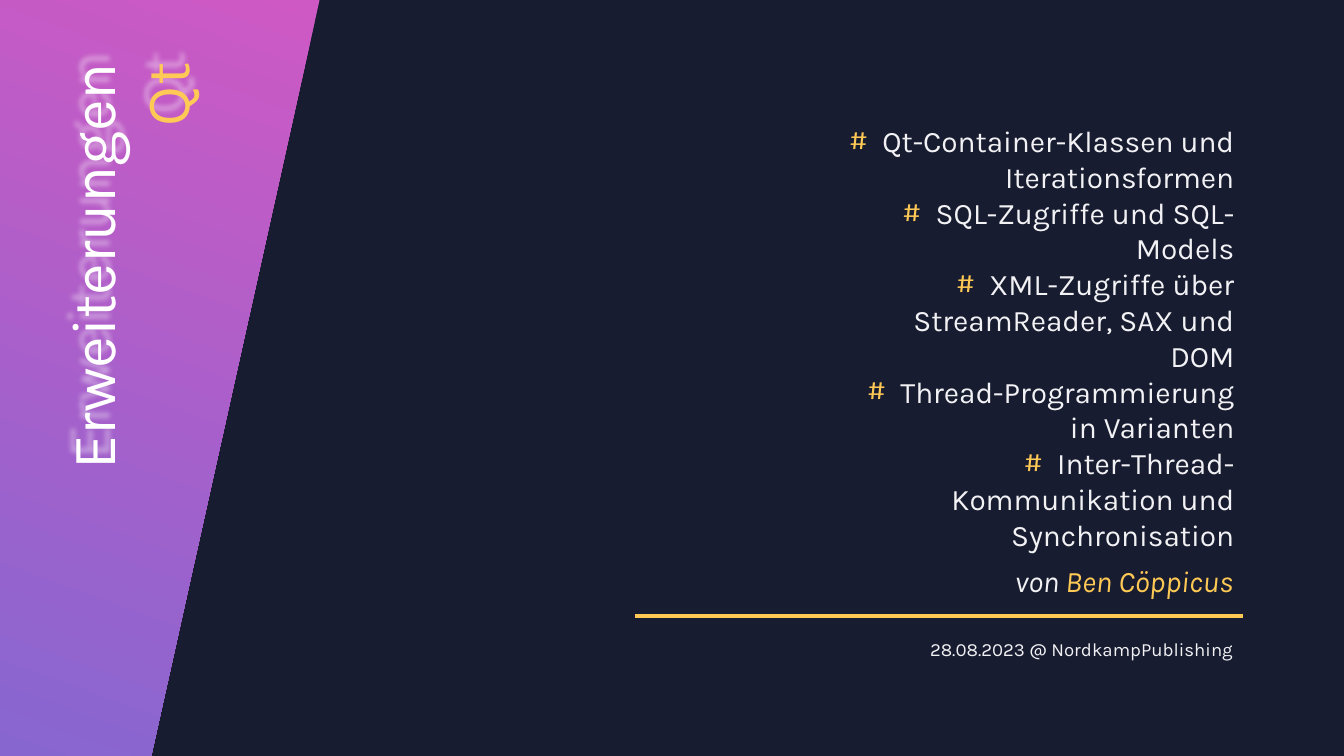
from lxml import etree
from pptx import Presentation
from pptx.dml.color import RGBColor
from pptx.enum import shapes, text
from pptx.oxml import ns
from pptx.util import Inches, Pt

NAVY = RGBColor(0x17, 0x1C, 0x30)
PINK = RGBColor(0xCE, 0x59, 0xC4)
VIOLET = RGBColor(0x87, 0x66, 0xD0)
GOLD = RGBColor(0xFF, 0xC9, 0x55)
WHITE = RGBColor(0xFF, 0xFF, 0xFF)
PALE = RGBColor(0xF2, 0xF2, 0xF5)
FONT = "Karla"

TOPICS = [
    "Qt-Container-Klassen und Iterationsformen",
    "SQL-Zugriffe und SQL-Models",
    "XML-Zugriffe über StreamReader, SAX und DOM",
    "Thread-Programmierung in Varianten",
    "Inter-Thread-Kommunikation und Synchronisation",
]


def add_xml(node, tag, **attrs):
    return etree.SubElement(node, ns.qn(tag), attrs)


def add_text(slide, box, lines, size, italic=False):
    """Right-aligned text; each line is a list of (wording, colour) runs."""
    shape = slide.shapes.add_textbox(*map(Inches, box))
    frame = shape.text_frame
    frame.word_wrap = True
    for i, line in enumerate(lines):
        para = frame.paragraphs[0] if i == 0 else frame.add_paragraph()
        para.alignment = text.PP_ALIGN.RIGHT
        for words, color in line:
            run = para.add_run()
            run.text = words
            run.font.name = FONT
            run.font.size = Pt(size)
            run.font.italic = italic
            run.font.color.rgb = color
    return shape


def add_panel(slide, left, top, width, height):
    # Slanted gradient panel
    foot = 1.5
    start, *rest = [(Inches(left + x), Inches(top + y)) for x, y in
                    [(0, 0), (width, 0), (foot, height), (0, height)]]
    pen = slide.shapes.build_freeform(*start)
    pen.add_line_segments(rest, close=True)
    panel = pen.convert_to_shape()
    panel.shadow.inherit = False
    panel.line.fill.background()
    panel.fill.gradient()
    panel.fill.gradient_angle = 250
    for stop, color in zip(panel.fill.gradient_stops, (PINK, VIOLET)):
        stop.color.rgb = color


def add_title(slide, box):
    # Upright title with a soft glow behind it
    lines = [[("Erweiterungen", WHITE)], [("Qt", GOLD)]]
    title = add_text(slide, box, lines, 44)
    title.rotation = 270
    effects = add_xml(title._element.spPr, "a:effectLst")
    glow = add_xml(effects, "a:outerShdw", blurRad=str(Pt(4)),
                   dist=str(Inches(0.13)), dir=str(243 * 60000),
                   algn="ctr", rotWithShape="0")
    color = add_xml(glow, "a:srgbClr", val=str(WHITE))
    add_xml(color, "a:alpha", val="40000")


def add_topics(slide, box):
    # Topic list with gold hash bullets
    lines = [[(topic, PALE)] for topic in TOPICS]
    shape = add_text(slide, box, lines, 21.3)
    for para in shape.text_frame.paragraphs:
        props = para._p.get_or_add_pPr()
        props.set("marL", str(Inches(0.33)))
        props.set("indent", str(-Inches(0.33)))
        add_xml(add_xml(props, "a:buClr"), "a:srgbClr", val=str(GOLD))
        add_xml(props, "a:buFont", typeface=FONT)
        add_xml(props, "a:buChar", char="#")


def add_credit(slide, left, top, width):
    # Rule with the author above and the date below
    right = left + width
    rule = slide.shapes.add_connector(
        shapes.MSO_CONNECTOR.STRAIGHT,
        *map(Inches, (left, top, right, top)))
    rule.line.color.rgb = GOLD
    rule.line.width = Pt(3)
    add_xml(rule._element.spPr, "a:effectLst")
    add_text(slide, (right - 4.44, top - 0.58, 4.44, 0.46),
             [[("von ", PALE), ("Ben Cöppicus", GOLD)]], 21.3, italic=True)
    add_text(slide, (right - 5.05, top + 0.17, 5.05, 0.33),
             [[("28.08.2023 @ NordkampPublishing", PALE)]], 13.3)


def main():
    deck = Presentation()
    deck.slide_width = Inches(13.33)
    deck.slide_height = Inches(7.5)
    slide = deck.slides.add_slide(deck.slide_layouts[6])
    slide.background.fill.solid()
    slide.background.fill.fore_color.rgb = NAVY
    add_panel(slide, 0, 0, 3.17, 7.5)
    add_title(slide, (-1.55, 2.56, 5.65, 1.58))
    add_topics(slide, (8.17, 1.17, 4.17, 4.05))
    add_credit(slide, 6.3, 6.11, 6.03)
    deck.save("out.pptx")


if __name__ == "__main__":
    main()
